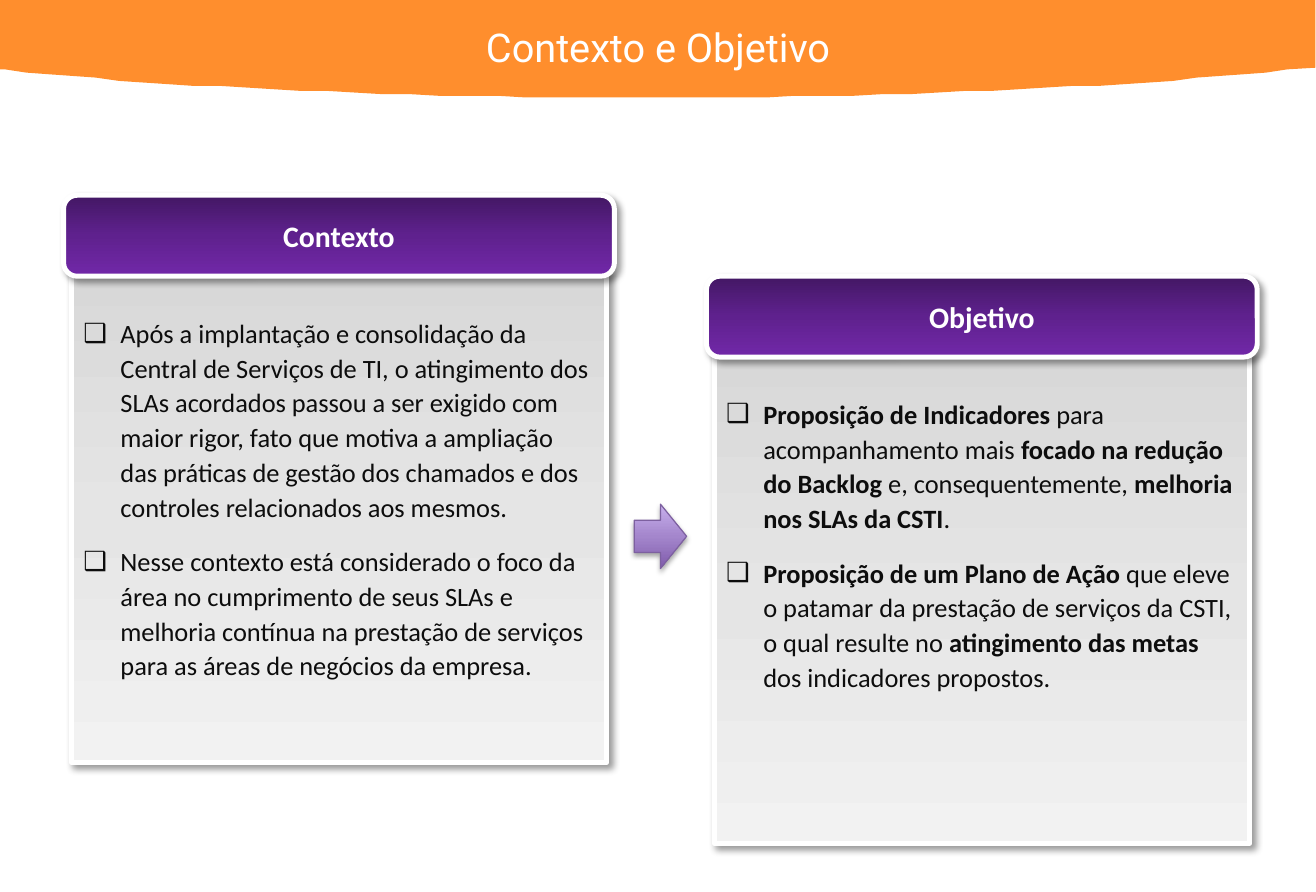
from copy import deepcopy

from lxml import etree
from pptx import Presentation
from pptx.dml.color import RGBColor
from pptx.enum.shapes import MSO_SHAPE
from pptx.enum.text import MSO_ANCHOR, MSO_AUTO_SIZE, PP_ALIGN
from pptx.oxml.ns import qn
from pptx.util import Pt

ROUNDED = MSO_SHAPE.ROUNDED_RECTANGLE
ARROW = MSO_SHAPE.RIGHT_ARROW
MIDDLE = MSO_ANCHOR.MIDDLE
CENTER = PP_ALIGN.CENTER
NO_FIT = MSO_AUTO_SIZE.NONE

WIDTH, HEIGHT = 796.32, 540
INDENT = 22.5
COLORS = {"band": "FF8E2D", "white": "FFFFFF", "text": "0D0D0D",
          "arrow_line": "7D60A0", "shadow": "000000"}
GRADIENTS = {
    "panel": ("D8D8D8", "E5E5E5", "F2F2F2"),
    "header": ("431764", "5F218E", "7128A8"),
    "arrow": ("C8B0ED", "A486CC", "7F5BAB"),
}
CONTEXT = [
    [("Após a implantação e consolidação da Central de Serviços de TI, o "
      "atingimento dos SLAs acordados passou a ser exigido com maior rigor, "
      "fato que motiva a ampliação das práticas de gestão dos chamados e dos "
      "controles relacionados aos mesmos.", False)],
    [("Nesse contexto está considerado o foco da área no cumprimento de seus "
      "SLAs e melhoria contínua na prestação de serviços para as áreas de "
      "negócios da empresa.", False)],
]
GOAL = [
    [("Proposição de Indicadores ", True),
     ("para acompanhamento mais ", False),
     ("focado na redução do Backlog", True),
     (" e, consequentemente, ", False),
     ("melhoria nos SLAs da CSTI", True),
     (".", False)],
    [("Proposição de um Plano de Ação ", True),
     ("que eleve o patamar da prestação de serviços da CSTI, o qual resulte no ",
      False),
     ("atingimento das metas", True),
     (" dos indicadores propostos.", False)],
]


def rgb(name):
    """Return the named colour."""
    return RGBColor.from_string(COLORS[name])


def place(shape, left, top, width, height):
    """Move and size a shape, in points."""
    shape.left, shape.top = Pt(left), Pt(top)
    shape.width, shape.height = Pt(width), Pt(height)


def add_span(para, text, font, size, color, bold=False):
    """Append a formatted run."""
    span = para.add_run()
    span.text = text
    span.font.name, span.font.size, span.font.bold = font, Pt(size), bold
    span.font.color.rgb = rgb(color)


def fill_gradient(shape, name):
    """Fill a shape with three colours from top to bottom."""
    first, middle, last = GRADIENTS[name]
    shape.fill.gradient()
    shape.fill.gradient_angle = 270
    for stop, color in zip(shape.fill.gradient_stops, (first, last)):
        stop.color.rgb = RGBColor.from_string(color)
    stops = shape.element.spPr.find(".//" + qn("a:gsLst"))
    center = deepcopy(stops[0])
    center.set("pos", "50000")
    center[0].set("val", middle)
    stops.insert(1, center)


def add_shadow(shape, alpha, blur, distance, angle):
    """Give a shape a soft outer shadow."""
    shape.shadow.inherit = False
    effects = shape.element.spPr.find(qn("a:effectLst"))
    outer = etree.SubElement(
        effects, qn("a:outerShdw"), blurRad=str(Pt(blur)), dist=str(Pt(distance)),
        dir=str(angle * 60000), algn="ctr", rotWithShape="0")
    color = etree.SubElement(outer, qn("a:srgbClr"), val=COLORS["shadow"])
    etree.SubElement(color, qn("a:alpha"), val=str(alpha * 1000))


def style_card(shape, gradient):
    """Apply the look shared by panels and headers."""
    fill_gradient(shape, gradient)
    shape.line.color.rgb = rgb("white")
    shape.line.width = Pt(3)
    add_shadow(shape, 40, 4, 3, 45)


def curve(points, steps=24):
    """Return points along a cubic curve after its start."""
    weights = [((1 - t) ** 3, 3 * t * (1 - t) ** 2, 3 * t * t * (1 - t), t ** 3)
               for t in (step / steps for step in range(1, steps + 1))]
    return [tuple(sum(w * point[axis] for w, point in zip(weight, points))
                  for axis in (0, 1)) for weight in weights]


def add_band(page):
    """Draw the curved band behind the title."""
    side, edge, bottom, middle = 41, 42.5, 59, 391
    right, left = WIDTH - 17.3, 2.9
    outline = [(WIDTH, 0), (WIDTH, side), (right, edge)]
    outline += curve([(right, edge), (674, 53.3), (538.6, bottom), (middle, bottom)])
    outline += curve([(middle, bottom), (243.4, bottom), (108, 53.3), (left, edge)])
    outline += [(0, edge)]
    builder = page.shapes.build_freeform(0, 0, scale=Pt(1))
    builder.add_line_segments(outline, close=True)
    band = builder.convert_to_shape()
    band.fill.solid()
    band.fill.fore_color.rgb = rgb("band")
    band.line.fill.background()
    band.shadow.inherit = False
    page.shapes.element.insert(2, band.element)


def set_title(page, text):
    """Write the slide title on the band."""
    title = page.shapes.title
    place(title, 67.7, 10, 661, 36)
    frame = title.text_frame
    frame.auto_size, frame.vertical_anchor = NO_FIT, MIDDLE
    para = frame.paragraphs[0]
    para.alignment = CENTER
    add_span(para, text, "Roboto", 24, "white")


def add_item(para, spans, before):
    """Write one bulleted item."""
    para.line_spacing = Pt(21)
    para.space_before, para.space_after = Pt(before), Pt(6)
    properties = para._p.get_or_add_pPr()
    properties.set("marL", str(Pt(INDENT)))
    properties.set("indent", str(Pt(-INDENT)))
    etree.SubElement(properties, qn("a:buChar"), char="❑")
    for text, bold in spans:
        add_span(para, text, "Calibri", 16, "text", bold)


def fill_panel(panel, left, top, items):
    """Turn a body placeholder into a panel with a list."""
    place(panel, left, top, 324, 297.5)
    style_card(panel, "panel")
    frame = panel.text_frame
    frame.auto_size, frame.word_wrap = NO_FIT, True
    frame.vertical_anchor = MSO_ANCHOR.TOP
    frame.margin_top = Pt(26)
    for index, spans in enumerate(items):
        para = frame.add_paragraph() if index else frame.paragraphs[0]
        add_item(para, spans, 6 if index else 0)


def add_header(page, left, top, text):
    """Add the rounded header of a panel."""
    header = page.shapes.add_shape(ROUNDED, Pt(left), Pt(top), Pt(333.3), Pt(49))
    style_card(header, "header")
    header.text_frame.vertical_anchor = MIDDLE
    para = header.text_frame.paragraphs[0]
    para.alignment = CENTER
    add_span(para, text, "Calibri", 18, "white", True)


def add_arrow(page):
    """Add the arrow between the panels."""
    arrow = page.shapes.add_shape(ARROW, Pt(383.8), Pt(305.2), Pt(31.7), Pt(39))
    fill_gradient(arrow, "arrow")
    arrow.line.color.rgb = rgb("arrow_line")
    arrow.line.width = Pt(0.75)
    add_shadow(arrow, 35, 3.1, 1.8, 90)


def main():
    """Build and save the slide."""
    deck = Presentation()
    deck.slide_width, deck.slide_height = Pt(WIDTH), Pt(HEIGHT)
    page = deck.slides.add_slide(deck.slide_layouts[3])
    add_band(page)
    set_title(page, "Contexto e Objetivo")
    columns = [(1, "Contexto", 43.2, 164.2, CONTEXT),
               (2, "Objetivo", 432.2, 213.2, GOAL)]
    for index, heading, left, top, items in columns:
        fill_panel(page.placeholders[index], left, top, items)
        add_header(page, left - 4.7, top - 46, heading)
    add_arrow(page)
    deck.save("out.pptx")


if __name__ == "__main__":
    main()
